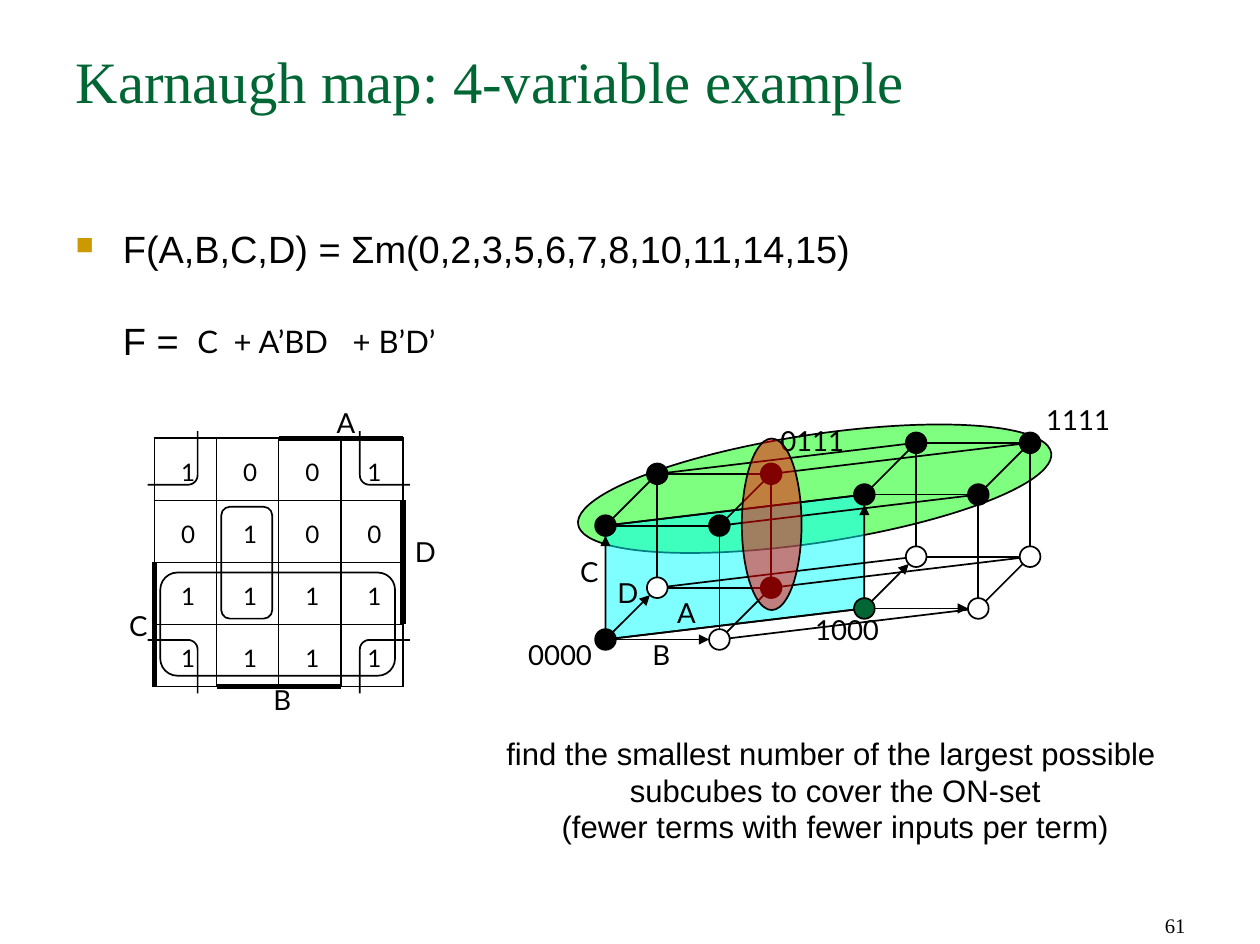
from dataclasses import dataclass
from itertools import product
from math import cos, hypot, radians, sin

from lxml.etree import SubElement
from pptx import Presentation
from pptx.dml.color import RGBColor
from pptx.enum.shapes import MSO_CONNECTOR, MSO_SHAPE
from pptx.enum.text import MSO_ANCHOR, MSO_AUTO_SIZE, PP_ALIGN
from pptx.oxml.ns import qn
from pptx.util import Pt


@dataclass(frozen=True)
class Theme:
    serif: str = "Times New Roman"
    sans: str = "Arial"
    label: str = "Lato"
    black: str = "000000"
    white: str = "FFFFFF"
    title: str = "006633"
    bullet: str = "CC9900"
    c_cover: str = "00FF00"
    bd_cover: str = "00FFFF"
    abd_cover: str = "FF0000"
    title_size: int = 34
    body_size: int = 22
    note_size: int = 18
    label_size: int = 16
    cell_size: int = 14
    number_size: int = 12


theme = Theme()

TITLE = "Karnaugh map: 4-variable example"
FUNCTION = ["F(A,B,C,D) = Σm(0,2,3,5,6,7,8,10,11,14,15)", "F ="]
TERMS = [("C", 113, 184.6), ("+ A’BD", 134, 184.6), ("+ B’D’", 203, 184.6)]
NOTE = ["find the smallest number of the largest possible \vsubcubes to cover the ON-set",
        "(fewer terms with fewer inputs per term)"]
PAGE_NUMBER = "61"

MAP_ROWS = ["1001", "0100", "1111", "1111"]
MAP_LEFT, MAP_TOP, CELL = 89.5, 254, 36
# Grid corners joined by each variable's thick bar
VARIABLE_BARS = [((2, 0), (4, 0)), ((4, 1), (4, 3)), ((0, 2), (0, 4)), ((1, 4), (3, 4))]
MAP_LABELS = [("A", 193.7, 236.2), ("D", 239, 311), ("C", 73.4, 354.2), ("B", 157, 396.7)]
MAP_LOOPS = [(92.9, 331.9, 136, 59.8), (128.2, 293.8, 29.5, 64.8)]
CORNER_INSET_X, CORNER_INSET_Y, CORNER_OVERSHOOT, CORNER_RADIUS = 25, 27, 4, 5.5

MINTERMS = {0, 2, 3, 5, 6, 7, 8, 10, 11, 14, 15}
CUBE_ORIGIN = (350.8, 370.7)
CUBE_STEPS = [(150, -18), (66, 0), (0, -66), (30, -30)]  # A, B, C, D
ARROW_STARTS = {"0000", "1000"}
NODE_RADIUS = 6
CUBE_LABELS = [("A", 391, 346.3), ("B", 376.6, 370.8), ("C", 334.8, 322.6),
               ("D", 356.4, 334.8), ("0000", 304.6, 370.8), ("1111", 604.8, 234.7),
               ("1000", 470.9, 356.4), ("0111", 450.7, 247)]
LABEL_WIDTH, LABEL_HEIGHT = 72, 26
C_ELLIPSE = (333.4, 252, 277.2, 62.6)
ABD_ELLIPSE = (429.8, 254.2, 34.6, 99.4)


def color(value):
    return RGBColor.from_string(value)


def style_paragraph(para, name, size, ink=theme.black):
    para.font.name = name
    para.font.size = Pt(size)
    para.font.color.rgb = color(ink)


def add_text(page, lines, bounds, name, size, insets=(7.2, 3.6), wrap=True):
    box = page.shapes.add_textbox(*map(Pt, bounds))
    frame = box.text_frame
    frame.word_wrap = wrap
    frame.margin_left = frame.margin_right = Pt(insets[0])
    frame.margin_top = frame.margin_bottom = Pt(insets[1])
    for index, line in enumerate(lines):
        para = frame.add_paragraph() if index else frame.paragraphs[0]
        para.text = line
        style_paragraph(para, name, size)
    return frame


def add_labels(page, labels, size, spacing=None):
    for text, left, top in labels:
        frame = add_text(page, [text], (left, top, LABEL_WIDTH, LABEL_HEIGHT), theme.label, size,
                         (1.4, 2.2), False)
        if spacing:
            frame.paragraphs[0].line_spacing = Pt(spacing)


def finish(shape, fill=None, opacity=None):
    """Give a shape a thin black outline and an optional, possibly sheer, fill."""
    shape.shadow.inherit = False
    if fill:
        shape.fill.solid()
        shape.fill.fore_color.rgb = color(fill)
        if opacity:
            tint = shape._element.spPr.find(qn("a:solidFill")).find(qn("a:srgbClr"))
            SubElement(tint, qn("a:alpha"), val=str(opacity * 1000))
    else:
        shape.fill.background()
    shape.line.color.rgb = color(theme.black)
    shape.line.width = Pt(1)
    return shape


def add_outline(page, points, closed, fill=None, opacity=None):
    start, *rest = [(Pt(x), Pt(y)) for x, y in points]
    builder = page.shapes.build_freeform(*start)
    builder.add_line_segments(rest, close=closed)
    return finish(builder.convert_to_shape(), fill, opacity)


def add_oval(page, bounds, fill, opacity=None):
    oval = page.shapes.add_shape(MSO_SHAPE.OVAL, *map(Pt, bounds))
    return finish(oval, fill, opacity)


def add_line(page, start, end, width=1, arrow=False):
    line = page.shapes.add_connector(MSO_CONNECTOR.STRAIGHT, *map(Pt, (*start, *end)))
    line.line.color.rgb = color(theme.black)
    line.line.width = Pt(width)
    if arrow:
        SubElement(line.line._get_or_add_ln(), qn("a:tailEnd"), type="triangle")
    SubElement(line._element.spPr, qn("a:effectLst"))


def add_title(page):
    title = page.shapes.title
    title.left, title.top, title.width, title.height = map(Pt, (36.7, 22.3, 656.6, 90.7))
    frame = title.text_frame
    frame.text = TITLE
    frame.auto_size = MSO_AUTO_SIZE.NONE
    frame.vertical_anchor = MSO_ANCHOR.TOP
    frame.paragraphs[0].alignment = PP_ALIGN.LEFT
    style_paragraph(frame.paragraphs[0], theme.serif, theme.title_size, theme.title)


def add_function(page):
    frame = add_text(page, FUNCTION, (36.7, 127.4, 656.6, 100), theme.sans, theme.body_size)
    for para, gap, indent in zip(frame.paragraphs, (4.4, 27), (-27.4, 0)):
        para.space_before = Pt(gap)
        properties = para._p.get_or_add_pPr()
        properties.set("marL", str(Pt(27.4)))
        properties.set("indent", str(Pt(indent)))
    bulleted = frame.paragraphs[0]._p.get_or_add_pPr()
    marks = [SubElement(bulleted, qn(tag)) for tag in ("a:buClr", "a:buSzPct", "a:buChar")]
    SubElement(marks[0], qn("a:srgbClr"), val=theme.bullet)
    marks[1].set("val", "65000")
    marks[2].set("char", "■")
    # Schema order puts the text defaults after the bullet
    bulleted.append(bulleted.find(qn("a:defRPr")))


def add_corner_loops(page):
    """Draw the open quarter of the B’D’ loop at each corner of the map."""
    for side_x, side_y in product((1, -1), repeat=2):
        across = CORNER_INSET_X - CORNER_RADIUS
        down = CORNER_INSET_Y - CORNER_RADIUS
        bend = [(across + CORNER_RADIUS * cos(radians(angle)),
                 down + CORNER_RADIUS * sin(radians(angle))) for angle in range(0, 91, 10)]
        offsets = [(CORNER_INSET_X, -CORNER_OVERSHOOT), *bend,
                   (-CORNER_OVERSHOOT, CORNER_INSET_Y)]
        corner_x = MAP_LEFT + (0 if side_x > 0 else 4 * CELL)
        corner_y = MAP_TOP + (0 if side_y > 0 else 4 * CELL)
        add_outline(page, [(corner_x + side_x * x, corner_y + side_y * y) for x, y in offsets],
                    closed=False)


def format_cell(cell, text):
    cell.text = text
    cell.vertical_anchor = MSO_ANCHOR.MIDDLE
    cell.margin_left = cell.margin_top = Pt(3)
    cell.margin_right = cell.margin_bottom = 0
    para = cell.text_frame.paragraphs[0]
    para.alignment = PP_ALIGN.CENTER
    style_paragraph(para, theme.label, theme.cell_size)
    for side in ("a:lnL", "a:lnR", "a:lnT", "a:lnB"):
        border = SubElement(cell._tc.get_or_add_tcPr(), qn(side), w=str(Pt(1)))
        SubElement(SubElement(border, qn("a:solidFill")), qn("a:srgbClr"), val=theme.black)
    cell.fill.background()


def add_map(page):
    bounds = (MAP_LEFT, MAP_TOP, 4 * CELL, 4 * CELL)
    table = page.shapes.add_table(4, 4, *map(Pt, bounds)).table
    table.first_row = table.horz_banding = False
    for row, values in enumerate(MAP_ROWS):
        for column, value in enumerate(values):
            format_cell(table.cell(row, column), value)
    for ends in VARIABLE_BARS:
        start, end = [(MAP_LEFT + x * CELL, MAP_TOP + y * CELL) for x, y in ends]
        add_line(page, start, end, width=3)
    for loop in MAP_LOOPS:
        finish(page.shapes.add_shape(MSO_SHAPE.ROUNDED_RECTANGLE, *map(Pt, loop)))
    add_corner_loops(page)
    add_labels(page, MAP_LABELS, theme.label_size, spacing=16)


def vertex(code):
    """Place a four-bit code on the drawn hypercube."""
    return tuple(CUBE_ORIGIN[k] + sum(step[k] for bit, step in zip(code, CUBE_STEPS) if bit == "1")
                 for k in (0, 1))


def add_cube(page):
    add_oval(page, C_ELLIPSE, theme.c_cover, 50).rotation = 351.4
    face = [vertex(code) for code in ("0000", "0010", "1010", "1000")]
    add_outline(page, face, True, theme.bd_cover, 50)
    add_labels(page, CUBE_LABELS, theme.label_size, spacing=16)
    codes = ["".join(bits) for bits in product("01", repeat=4)]
    for code, axis in product(codes, range(4)):
        if code[axis] == "0":
            start = vertex(code)
            step_x, step_y = CUBE_STEPS[axis]
            arrow = code in ARROW_STARTS and axis > 0
            reach = 1 - NODE_RADIUS / hypot(step_x, step_y) if arrow else 1
            add_line(page, start, (start[0] + reach * step_x, start[1] + reach * step_y),
                     arrow=arrow)
    for code in codes:
        x, y = vertex(code)
        fill = theme.black if int(code, 2) in MINTERMS else theme.white
        add_oval(page, (x - NODE_RADIUS, y - NODE_RADIUS, 2 * NODE_RADIUS, 2 * NODE_RADIUS),
                 theme.title if code == "1000" else fill)
    add_oval(page, ABD_ELLIPSE, theme.abd_cover, 50)


def main():
    deck = Presentation()
    deck.slide_width, deck.slide_height = Pt(730), Pt(547.2)
    page = deck.slides.add_slide(deck.slide_layouts[5])
    add_title(page)
    add_function(page)
    add_labels(page, TERMS, theme.note_size)
    add_map(page)
    add_cube(page)
    note = add_text(page, NOTE, (283, 424.4, 401.8, 72.7), theme.sans, theme.note_size,
                    (1.4, 2.2), False)
    for para in note.paragraphs:
        para.alignment = PP_ALIGN.CENTER
        para.line_spacing = Pt(21)
    number = add_text(page, [PAGE_NUMBER], (523.4, 510.5, 170.6, 36.7), theme.serif,
                      theme.number_size)
    number.vertical_anchor = MSO_ANCHOR.BOTTOM
    number.paragraphs[0].alignment = PP_ALIGN.RIGHT
    deck.save("out.pptx")


if __name__ == "__main__":
    main()
